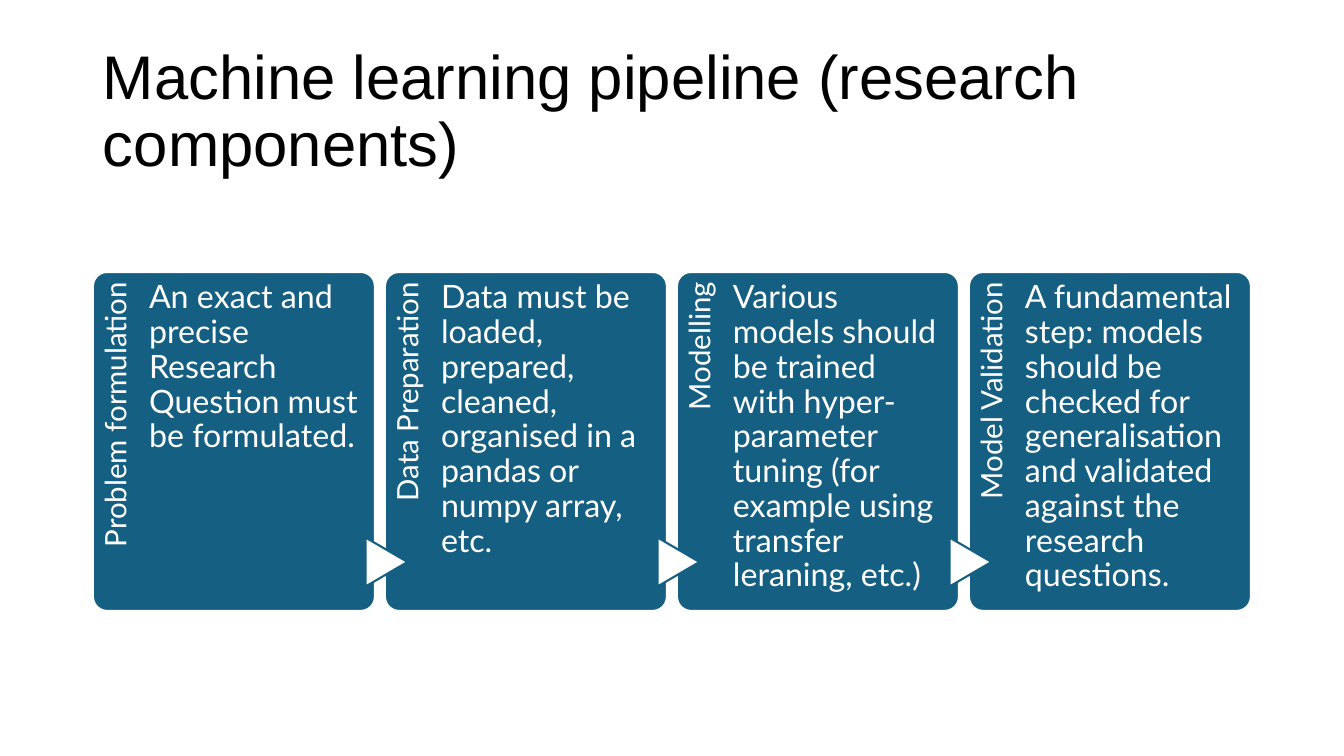
from pptx import Presentation
from pptx.dml.color import RGBColor
from pptx.enum.shapes import MSO_SHAPE as Shape
from pptx.enum.text import MSO_ANCHOR as Anchor, MSO_AUTO_SIZE as AutoSize, PP_ALIGN as Align
from pptx.util import Emu, Pt

PX = 914400 / 100.8
COLOURS = {"card": "156082", "white": "FFFFFF", "title": "000000"}
TITLE = "Machine learning pipeline (research components)"
STEPS = [
    ("Problem formulation",
     "An exact and precise Research Question must be formulated."),
    ("Data Preparation",
     "Data must be loaded, prepared, cleaned, organised in a pandas or numpy array, etc."),
    ("Modelling",
     "Various models should be trained with hyper-parameter tuning "
     "(for example using transfer leraning, etc.)"),
    ("Model Validation",
     "A fundamental step: models should be checked for generalisation "
     "and validated against the research questions."),
]


def px(length):
    return Emu(round(length * PX))


def colour(name):
    return RGBColor.from_string(COLOURS[name])


def write(holder, text, size, font="Lato", fill="white", align=Align.LEFT,
          anchor=Anchor.TOP, insets=(0, 9, 0, 0)):
    frame = holder.text_frame
    frame.word_wrap = True
    frame.auto_size = AutoSize.NONE
    frame.vertical_anchor = anchor
    (frame.margin_left, frame.margin_top,
     frame.margin_right, frame.margin_bottom) = map(px, insets)
    line = frame.paragraphs[0]
    line.alignment = align
    line.line_spacing = 0.9
    words = line.add_run()
    words.text = text
    words.font.size = Pt(size)
    words.font.name = font
    words.font.color.rgb = colour(fill)


def add_outlined(slide, preset, box, fill, outline):
    shape = slide.shapes.add_shape(preset, *map(px, box))
    shape.shadow.inherit = False
    shape.fill.solid()
    shape.fill.fore_color.rgb = colour(fill)
    shape.line.color.rgb = colour(outline)
    shape.line.width = Pt(1.5)
    return shape


def add_title(slide, box):
    title = slide.shapes.title
    title.left, title.top, title.width, title.height = map(px, box)
    write(title, TITLE, 44, font="Arial", fill="title",
          anchor=Anchor.MIDDLE, insets=(10, 5, 10, 5))


def add_step(slide, box, label, details, has_arrow):
    left, top, width, height = box
    strip, label_length = 56, 277

    # Card
    card = add_outlined(slide, Shape.ROUNDED_RECTANGLE, box, "card", "white")
    card.adjustments[0] = 0.05

    # Label turned to read upwards along the left strip
    heading = slide.shapes.add_textbox(
        px(left + (strip - label_length) / 2), px(top + (label_length - strip) / 2),
        px(label_length), px(strip))
    heading.rotation = 270
    write(heading, label, 21, align=Align.RIGHT, insets=(0, 8, 10, 0))

    # Arrow from the previous card
    if has_arrow:
        arrow = add_outlined(slide, Shape.FLOWCHART_EXTRACT,
                             (left - 23, top + 269, 49, 42), "white", "card")
        arrow.rotation = 90

    # Details beside the label
    body = slide.shapes.add_textbox(px(left + strip), px(top),
                                    px(width - strip - 15), px(height))
    write(body, details, 23)


def add_pipeline(slide, box):
    left, top, width, height = box
    gap = 10
    card_width = (width - gap * (len(STEPS) - 1)) / len(STEPS)
    for index, (label, details) in enumerate(STEPS):
        card_left = left + index * (card_width + gap)
        add_step(slide, (card_left, top, card_width, height),
                 label, details, has_arrow=index > 0)


def main():
    deck = Presentation()
    deck.slide_width, deck.slide_height = px(1344), px(756)
    slide = deck.slides.add_slide(deck.slide_layouts[5])
    add_title(slide, (93, 40, 1159, 146))
    add_pipeline(slide, (93, 272, 1158, 339))
    deck.save("out.pptx")


if __name__ == "__main__":
    main()
